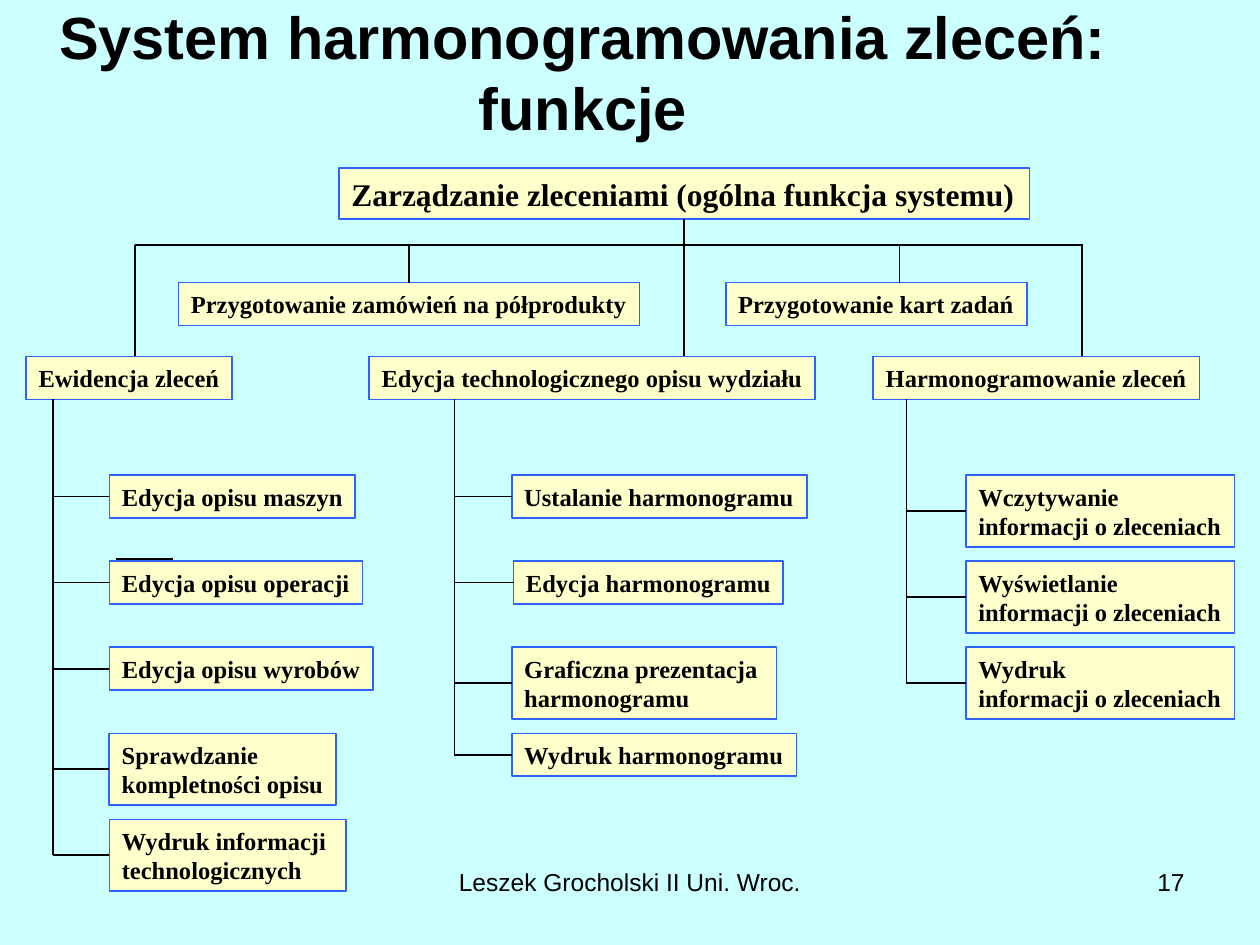
from lxml import etree
from pptx import Presentation
from pptx.dml.color import RGBColor
from pptx.enum import shapes, text
from pptx.oxml import ns
from pptx.util import Pt

BACKGROUND = RGBColor(0xCC, 0xFF, 0xFF)
BOX_FILL = RGBColor(0xFF, 0xFF, 0xCC)
BOX_LINE = RGBColor(0x2F, 0x61, 0xFF)
BLACK = RGBColor(0, 0, 0)

LEFT, CENTER, RIGHT = text.PP_ALIGN.LEFT, text.PP_ALIGN.CENTER, text.PP_ALIGN.RIGHT
TOP, LEFT_SIDE, BOTTOM = 0, 1, 2  # connection sites
ONE_LINE, TWO_LINES = 24.5, 41
ROW_STEP = 49.2

# heading, heading x and width, trunk x, [(text, x, width)]
COLUMNS = [
    ("Ewidencja zleceń", 15, 117.4, 30.2, [
        ("Edycja opisu maszyn", 62.5, 140.4),
        ("Edycja opisu operacji", 62.5, 144.7),
        ("Edycja opisu wyrobów", 62.5, 150.5),
        ("Sprawdzanie\nkompletności opisu", 62.5, 129.6),
        ("Wydruk informacji\ntechnologicznych", 62.5, 135.4)]),
    ("Edycja technologicznego opisu wydziału", 211, 254.9, 259.7, [
        ("Ustalanie harmonogramu", 292.5, 168.5),
        ("Edycja harmonogramu", 293.5, 154.1),
        ("Graficzna prezentacja\nharmonogramu", 292.5, 151.2),
        ("Wydruk harmonogramu", 292.5, 162.7)]),
    ("Harmonogramowanie zleceń", 499, 186.5, 518, [
        ("Wczytywanie\ninformacji o zleceniach", 552, 153.4),
        ("Wyświetlanie\ninformacji o zleceniach", 552, 153.4),
        ("Wydruk\ninformacji o zleceniach", 552, 153.4)]),
]


def write(sp, content, size=14, font="Arial", bold=False, align=LEFT,
          anchor=text.MSO_ANCHOR.TOP, margin_right=7.2):
    tf = sp.text_frame
    tf.word_wrap = True
    tf.vertical_anchor = anchor
    tf.margin_left, tf.margin_right = Pt(7.2), Pt(margin_right)
    tf.margin_top = tf.margin_bottom = Pt(3.6)
    tf.text = content
    for p in tf.paragraphs:
        p.alignment = align
        f = p.runs[0].font
        f.name, f.size, f.bold = font, Pt(size), bold
        f.color.rgb = BLACK


def add_box(s, content, x, y, w, h=None, size=14):
    h = h or (TWO_LINES if "\n" in content else ONE_LINE)
    sp = s.shapes.add_shape(shapes.MSO_SHAPE.ROUNDED_RECTANGLE,
                            Pt(x), Pt(y), Pt(w), Pt(h))
    sp.adjustments[0] = 0
    sp.shadow.inherit = False
    sp.fill.solid()
    sp.fill.fore_color.rgb = BOX_FILL
    sp.line.color.rgb = BOX_LINE
    sp.line.width = Pt(1)
    write(sp, content, size=size, font="Times New Roman", bold=True,
          anchor=text.MSO_ANCHOR.MIDDLE, margin_right=0)
    return sp


def add_line(s, x1, y1, x2, y2, begin=None, end=None):
    """Draw a straight line; begin and end are optional (shape, site) pairs."""
    c = s.shapes.add_connector(shapes.MSO_CONNECTOR.STRAIGHT,
                               Pt(x1), Pt(y1), Pt(x2), Pt(y2))
    c.line.color.rgb = BLACK
    c.line.width = Pt(1)
    etree.SubElement(c._element.spPr, ns.qn("a:effectLst"))
    if begin:
        c.begin_connect(*begin)
    if end:
        c.end_connect(*end)


def add_title(s, content, x, y, w, h):
    title = s.shapes.title
    title.left, title.top, title.width, title.height = Pt(x), Pt(y), Pt(w), Pt(h)
    write(title, content, size=34, bold=True, align=CENTER,
          anchor=text.MSO_ANCHOR.MIDDLE)


def add_footer(s, y, h):
    for content, x, w, align in (("Leszek Grocholski II Uni. Wroc.", 246, 228, CENTER),
                                 ("17", 516, 168, RIGHT)):
        write(s.shapes.add_textbox(Pt(x), Pt(y), Pt(w), Pt(h)), content, align=align)


def add_column(s, heading, x, w, trunk_x, items, y):
    """Place a heading at y with its functions hanging from a trunk below."""
    add_box(s, heading, x, y, w)
    first_y = y + 67.7
    for i, (content, item_x, item_w) in enumerate(items):
        item_y = first_y + i * ROW_STEP
        sp = add_box(s, content, item_x, item_y, item_w)
        mid_y = item_y + sp.height.pt / 2
        add_line(s, trunk_x, mid_y, item_x, mid_y, end=(sp, LEFT_SIDE))
    add_line(s, trunk_x, y + ONE_LINE, trunk_x, mid_y)


def add_top_level(s, y, columns_y):
    """Place the root function at y and its branches down to the columns."""
    root = add_box(s, "Zarządzanie zleceniami (ogólna funkcja systemu)",
                   193.7, y, 394.6, 29, size=18)
    bar_y, middle_y = y + 44, y + 65.5
    orders = add_box(s, "Przygotowanie zamówień na półprodukty", 102, middle_y, 263.5)
    add_box(s, "Przygotowanie kart zadań", 414.7, middle_y, 172.1)
    add_line(s, 77, bar_y, 619, bar_y)
    add_line(s, 391, y + 29, 391, columns_y, begin=(root, BOTTOM))
    add_line(s, 233.75, bar_y, 233.75, middle_y, end=(orders, TOP))
    for x, bottom in ((77, columns_y), (514, middle_y), (618.5, columns_y)):
        add_line(s, x, bar_y, x, bottom)


def main():
    prs = Presentation()
    prs.slide_width, prs.slide_height = Pt(720), Pt(540)
    s = prs.slides.add_slide(prs.slide_layouts[5])
    s.background.fill.solid()
    s.background.fill.fore_color.rgb = BACKGROUND

    columns_y = 203.8
    add_title(s, "System harmonogramowania zleceń: funkcje", 0, 0, 666, 81.4)
    add_top_level(s, 96, columns_y)
    for column in COLUMNS:
        add_column(s, *column, y=columns_y)
    add_line(s, 66.2, 319.5, 98.6, 319.5)
    add_footer(s, 491.8, 37.4)
    prs.save("out.pptx")


if __name__ == "__main__":
    main()
